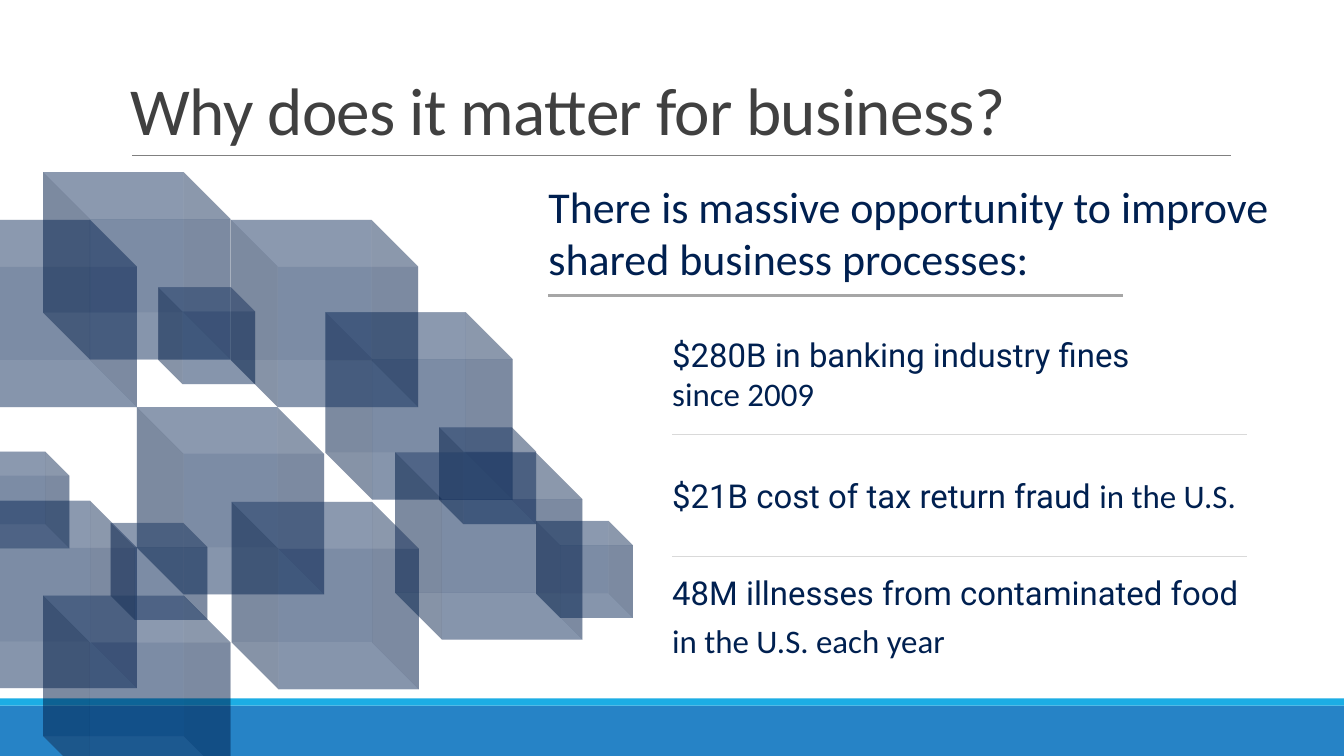
from dataclasses import dataclass

from lxml import etree
from pptx import Presentation
from pptx.dml.color import RGBColor
from pptx.enum.shapes import MSO_CONNECTOR, MSO_SHAPE
from pptx.enum.text import MSO_ANCHOR
from pptx.oxml.ns import qn
from pptx.shapes.autoshape import Shape
from pptx.slide import Slide
from pptx.util import Cm, Pt

RECT = MSO_SHAPE.RECTANGLE
CUBE = MSO_SHAPE.CUBE
LINE = MSO_CONNECTOR.STRAIGHT
MIDDLE = MSO_ANCHOR.MIDDLE
BOTTOM = MSO_ANCHOR.BOTTOM

NAVY = RGBColor(0x00, 0x20, 0x50)
BLUE = RGBColor(0x26, 0x83, 0xC6)
CYAN = RGBColor(0x1C, 0xAD, 0xE4)
DARK = RGBColor(0x40, 0x40, 0x40)
GREY = RGBColor(0x80, 0x80, 0x80)
MID = RGBColor(0xA6, 0xA6, 0xA6)
PALE = RGBColor(0xD9, 0xD9, 0xD9)

SANS = "Calibri"
ROBOTO = "Roboto"
WIDE, HIGH = 33.87, 19.05
BIG, SMALL = 4.72, 2.44
FACT_LEFT, FACT_TOP, FACT_STEP = 16.94, 8.08, 3.06


@dataclass(frozen=True)
class Block:
    left: float
    top: float
    size: float = BIG


@dataclass(frozen=True)
class Rule:
    left: float
    top: float
    width: float
    color: RGBColor
    weight: float


@dataclass(frozen=True)
class Run:
    text: str
    font: str = SANS


BLOCKS = [
    Block(13.51, 13.13, SMALL),
    Block(3.45, 10.26),
    Block(-1.27, 5.54),
    Block(8.2, 7.87),
    Block(5.82, 5.54),
    Block(-1.27, 12.62),
    Block(1.09, 15.01),
    Block(1.09, 4.34),
    Block(-0.69, 11.38, SMALL),
    Block(3.99, 7.24, SMALL),
    Block(11.07, 10.77, SMALL),
    Block(9.96, 11.4),
    Block(2.79, 13.18, SMALL),
    Block(5.84, 12.65),
]

RULES = [
    Rule(3.33, 3.91, 27.69, GREY, 0.5),
    Rule(FACT_LEFT, 14.02, 14.48, PALE, 1),
    Rule(FACT_LEFT, 10.95, 14.48, PALE, 1),
    Rule(13.82, 7.44, 14.48, MID, 2.25),
]

FACTS = [
    [[Run("$280B in banking industry fines\v", ROBOTO), Run("since 2009")]],
    [[Run("$21B cost of tax return fraud ", ROBOTO), Run("in the U.S.")]],
    [
        [Run("48M illnesses from contaminated food", ROBOTO)],
        [Run("in the U.S. each year")],
    ],
]


def add_solid(slide: Slide, kind: MSO_SHAPE, left: float, top: float,
              width: float, height: float, color: RGBColor) -> Shape:
    shape = slide.shapes.add_shape(kind, Cm(left), Cm(top), Cm(width), Cm(height))
    shape.shadow.inherit = False
    shape.fill.solid()
    shape.fill.fore_color.rgb = color
    shape.line.fill.background()
    return shape


def add_block(slide: Slide, block: Block) -> None:
    for flip in ("flipV", "flipH"):
        cube = add_solid(slide, CUBE, block.left, block.top, block.size, block.size, NAVY)
        props = cube._element.spPr
        props.find(qn("a:xfrm")).set(flip, "1")
        color = props.find(qn("a:solidFill")).find(qn("a:srgbClr"))
        etree.SubElement(color, qn("a:alpha")).set("val", "30000")


def add_rule(slide: Slide, rule: Rule) -> None:
    top = Cm(rule.top)
    line = slide.shapes.add_connector(
        LINE, Cm(rule.left), top, Cm(rule.left + rule.width), top)
    line.line.color.rgb = rule.color
    line.line.width = Pt(rule.weight)
    etree.SubElement(line._element.spPr, qn("a:effectLst"))


def add_text(slide: Slide, paras: list[list[Run]], *, left: float, top: float,
             width: float, height: float, size: float, color: RGBColor = NAVY,
             anchor: MSO_ANCHOR = MIDDLE, inset: tuple[float, float] = (0, 0),
             after: float = 0, spacing: float = 1, track: int = 0) -> None:
    box = slide.shapes.add_textbox(Cm(left), Cm(top), Cm(width), Cm(height))
    frame = box.text_frame
    frame.word_wrap = True
    frame.vertical_anchor = anchor
    frame.margin_left = frame.margin_right = Cm(inset[0])
    frame.margin_top = frame.margin_bottom = Cm(inset[1])
    for index, runs in enumerate(paras):
        para = frame.add_paragraph() if index else frame.paragraphs[0]
        para.space_after = Pt(after)
        para.line_spacing = spacing
        for part in runs:
            run = para.add_run()
            run.text = part.text.rstrip("\v")
            run.font.name = part.font
            run.font.size = Pt(size)
            run.font.color.rgb = color
            if track:
                run._r.get_or_add_rPr().set("spc", str(track))
            if part.text.endswith("\v"):
                para.add_line_break()


def main() -> None:
    deck = Presentation()
    deck.slide_width, deck.slide_height = Cm(WIDE), Cm(HIGH)
    slide = deck.slides.add_slide(deck.slide_layouts[6])
    add_solid(slide, RECT, 0, 17.78, WIDE, 1.27, BLUE)
    add_solid(slide, RECT, 0, 17.6, WIDE, 0.18, CYAN)
    for block in BLOCKS:
        add_block(slide, block)
    for rule in RULES:
        add_rule(slide, rule)
    add_text(slide, [[Run("Why does it matter for business?")]],
             left=3.05, top=0.53, width=27.94, height=3.35, size=48, color=DARK,
             anchor=BOTTOM, inset=(0.25, 0.13), spacing=0.85, track=-50)
    add_text(slide, [[Run("There is massive opportunity to improve "
                          "shared business processes:")]],
             left=13.82, top=4.5, width=18.8, height=2.69, size=31.4)
    for index, fact in enumerate(FACTS):
        add_text(slide, fact, left=FACT_LEFT, top=FACT_TOP + index * FACT_STEP,
                 width=15.7, height=2.67, size=23.5, after=6)
    deck.save("out.pptx")


if __name__ == "__main__":
    main()
